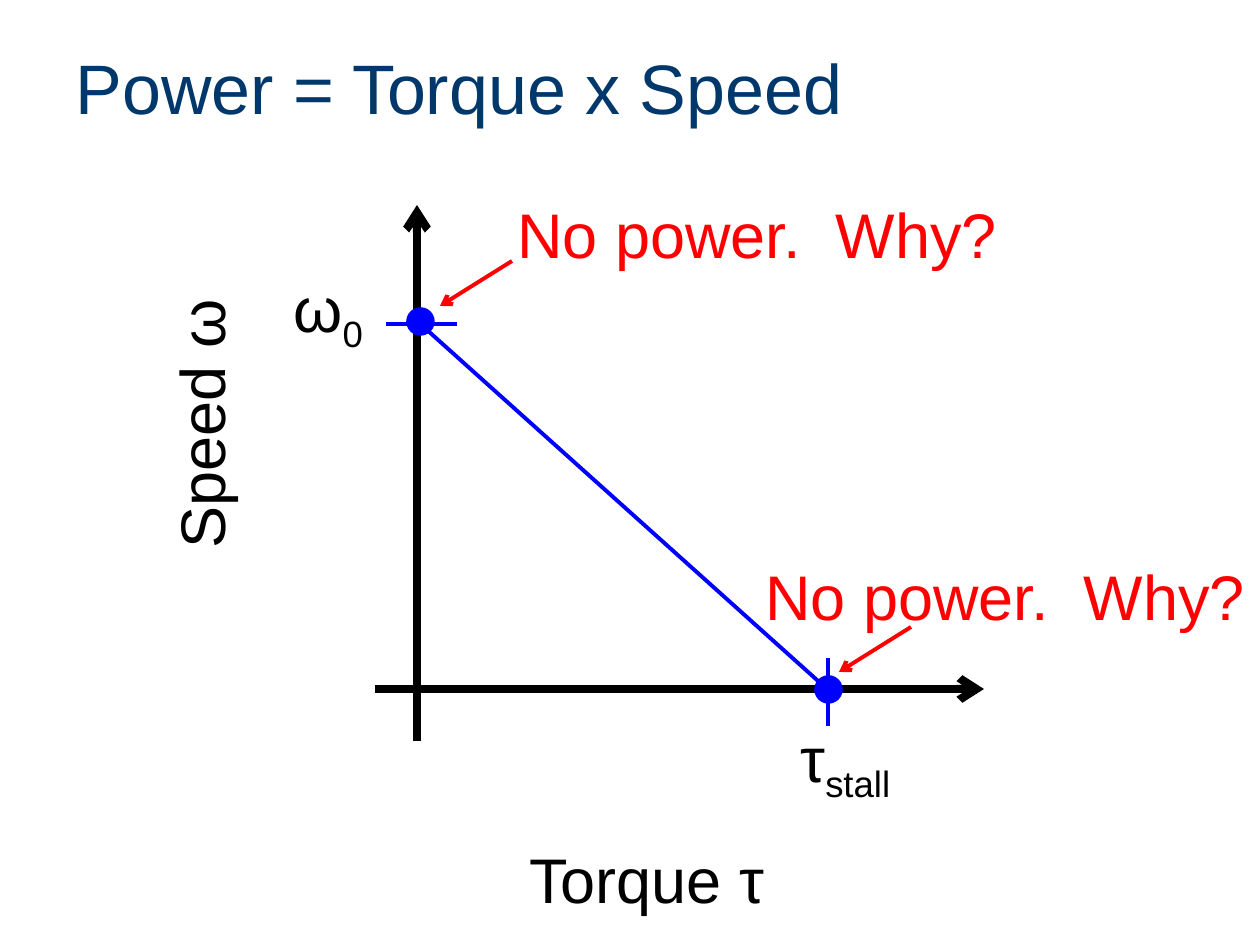
from pptx import Presentation
from pptx import util as u
from pptx.dml.color import RGBColor
from pptx.enum import shapes, text
from pptx.oxml.ns import qn
from lxml import etree

PX = 914400 / 126
FONT = "Arial"
NAVY = RGBColor(0x00, 0x38, 0x6B)
BLACK = RGBColor(0x00, 0x00, 0x00)
BLUE = RGBColor(0x00, 0x00, 0xFF)
RED = RGBColor(0xFF, 0x00, 0x00)


def px(n):
    return u.Emu(round(n * PX))


def style(p, size, color):
    p.font.name = FONT
    p.font.size = u.Pt(size)
    p.font.color.rgb = color


def set_title(s, words):
    sp = s.shapes.title
    sp.left, sp.top, sp.width, sp.height = px(63), px(38), px(1134), px(98)
    tf = sp.text_frame
    tf.text = words
    tf.vertical_anchor = text.MSO_ANCHOR.MIDDLE
    p = tf.paragraphs[0]
    p.alignment = text.PP_ALIGN.LEFT
    style(p, 40, NAVY)


def add_label(s, x, y, w, words, sub="", color=BLACK, rotation=0):
    sp = s.shapes.add_textbox(px(x), px(y), px(w), px(89))
    sp.rotation = rotation
    tf = sp.text_frame
    tf.word_wrap = True
    p = tf.paragraphs[0]
    style(p, 36, color)
    p.add_run().text = words
    if sub:
        r = p.add_run()
        r.text = sub
        r._r.get_or_add_rPr().set("baseline", "-25000")


def add_line(s, x1, y1, x2, y2, color, width=2.25, arrow=False):
    c = s.shapes.add_connector(
        shapes.MSO_CONNECTOR.STRAIGHT, px(x1), px(y1), px(x2), px(y2))
    c.line.color.rgb = color
    c.line.width = u.Pt(width)
    spPr = c._element.spPr
    if arrow:
        etree.SubElement(spPr.find(qn("a:ln")), qn("a:tailEnd"), type="arrow")
    etree.SubElement(spPr, qn("a:effectLst"))


def add_dot(s, x, y):
    sp = s.shapes.add_shape(
        shapes.MSO_SHAPE.OVAL, px(x), px(y), px(25), px(25))
    sp.shadow.inherit = False
    sp.fill.solid()
    sp.fill.fore_color.rgb = BLUE
    sp.line.color.rgb = BLUE
    sp.line.width = u.Pt(2)


def add_question(s, x, y, tip_x, tip_y):
    add_line(s, tip_x + 72, tip_y - 45, tip_x, tip_y, RED, arrow=True)
    add_label(s, x, y, 533, "No power.  Why?", color=RED)


def main():
    prs = Presentation()
    prs.slide_width, prs.slide_height = px(1260), px(945)
    s = prs.slides.add_slide(prs.slide_layouts[5])
    set_title(s, "Power = Torque x Speed")

    add_line(s, 417, 741, 417, 205, BLACK, 4.5, arrow=True)
    add_line(s, 375, 689, 984, 689, BLACK, 4.5, arrow=True)
    add_line(s, 417, 321, 827, 689, BLUE)
    add_line(s, 386, 324, 457, 324, BLUE)
    add_line(s, 828, 726, 828, 658, BLUE)

    add_label(s, 517, 834, 326, "Torque τ")
    add_label(s, 38, 353, 326, "Speed ω", rotation=270)
    add_label(s, 788, 713, 149, "τ", "stall")
    add_label(s, 281, 263, 106, "ω", "0")

    add_dot(s, 408, 309)
    add_dot(s, 816, 677)
    add_question(s, 753, 551, 839, 672)
    add_question(s, 505, 189, 440, 306)
    prs.save("out.pptx")


if __name__ == "__main__":
    main()
